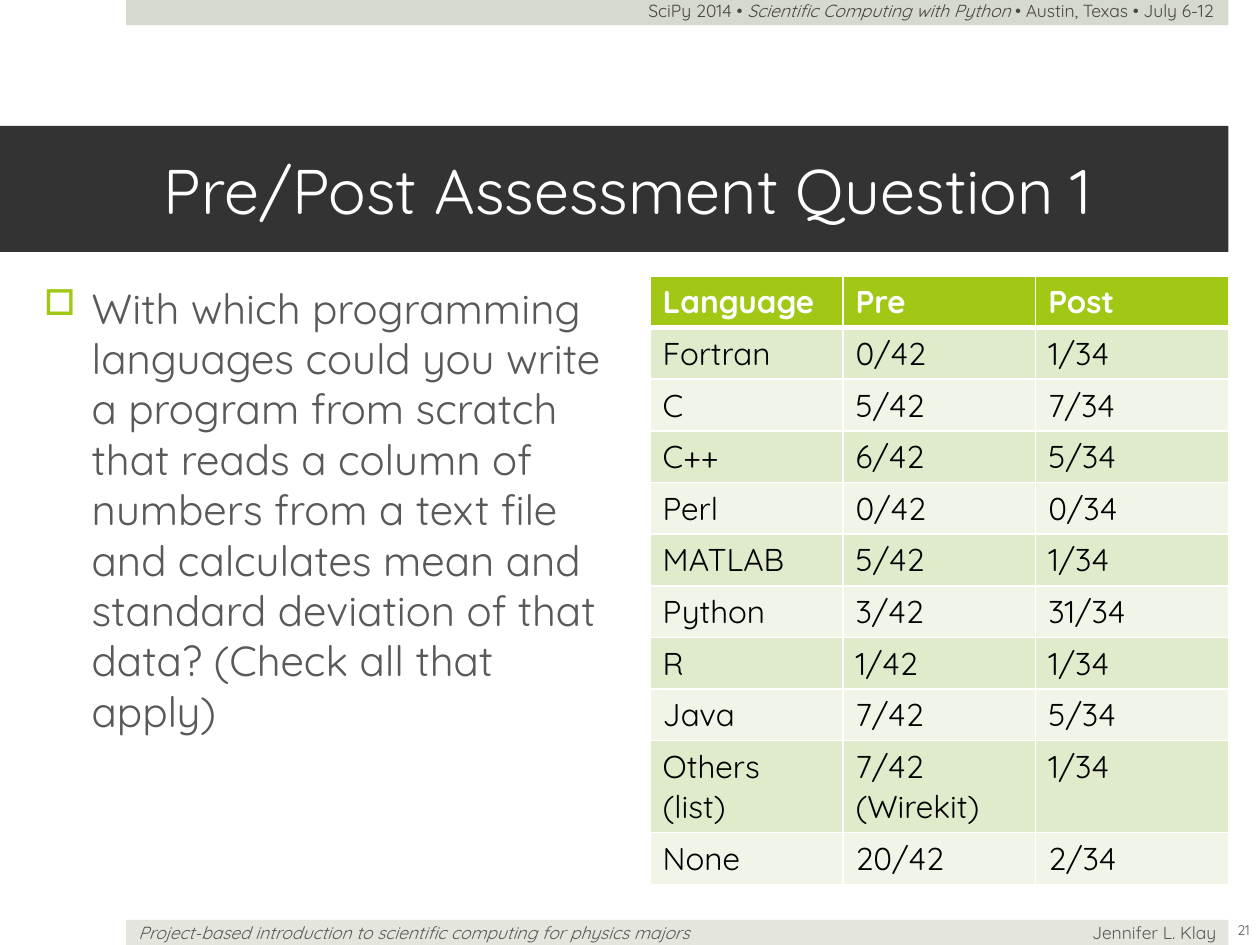
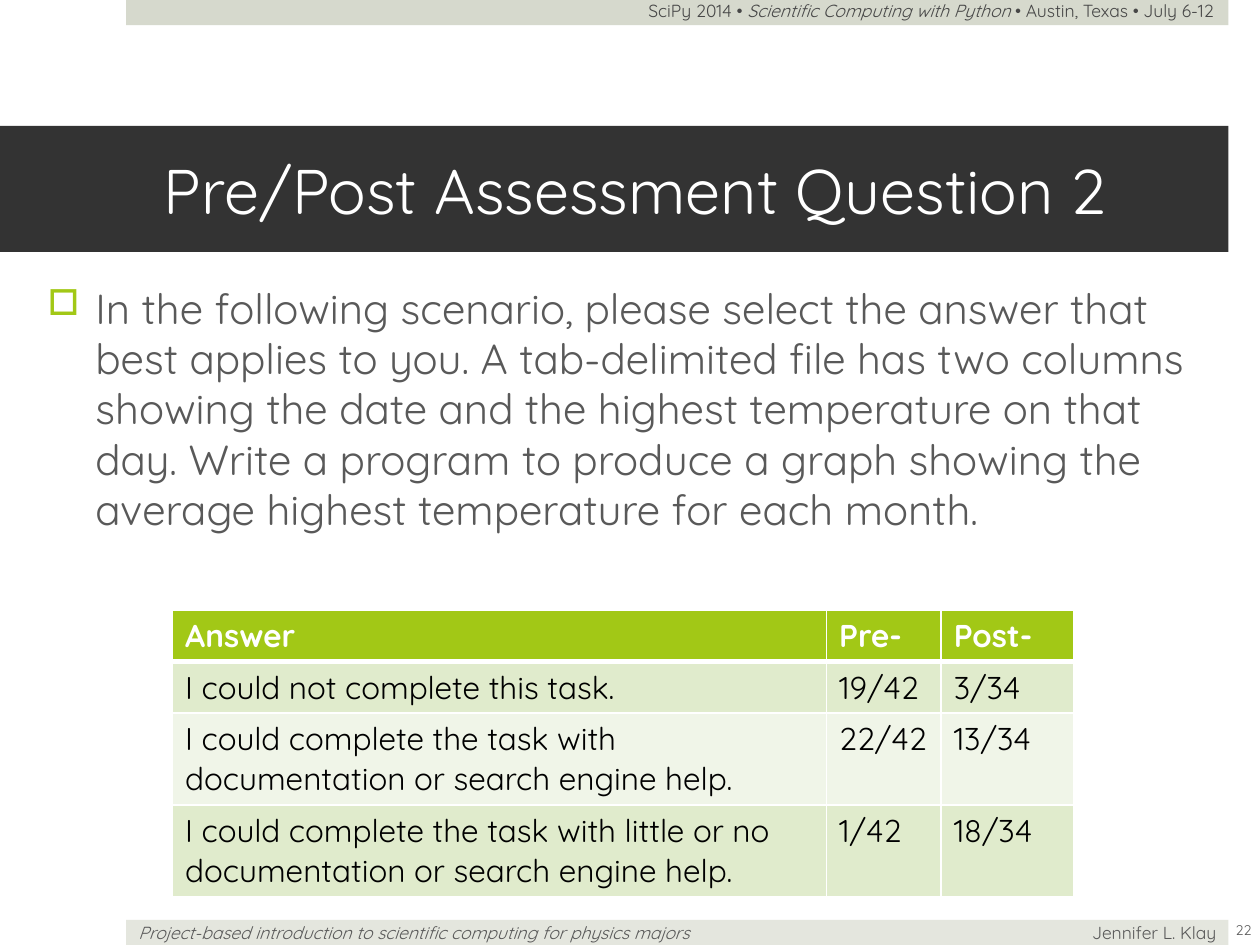
from dataclasses import dataclass

from lxml import etree
from pptx import Presentation
from pptx.dml.color import RGBColor
from pptx.enum import shapes, text
from pptx.oxml import ns
from pptx.util import Inches, Pt


@dataclass(frozen=True)
class Theme:
    font: str = "Quicksand"
    white: str = "FFFFFF"
    black: str = "000000"
    gray: str = "595959"
    header_gray: str = "474747"
    title_band: str = "333333"
    top_band: str = "D6D9CD"
    bottom_band: str = "E4E6DE"
    green: str = "A2C816"
    row_fills: tuple = ("F0F5E8", "E0EBCC")
    title_size: int = 36
    body_size: int = 24
    table_size: int = 18
    footer_size: int = 10
    number_size: int = 8


theme = Theme()
align = text.PP_ALIGN
anchor = text.MSO_ANCHOR


def add_runs(paragraph, runs, size, color, bold=False):
    for words, italic in runs:
        for index, line in enumerate(words.split("\n")):
            if index:
                paragraph.add_line_break()
            run = paragraph.add_run()
            run.text = line
            run.font.name = theme.font
            run.font.size = Pt(size)
            run.font.bold = bold
            run.font.italic = italic
            run.font.color.rgb = RGBColor.from_string(color)


def add_text(slide, bounds, runs, size, color, alignment=align.LEFT, vertical=anchor.MIDDLE):
    box = slide.shapes.add_textbox(*map(Inches, bounds))
    frame = box.text_frame
    frame.word_wrap = True
    frame.vertical_anchor = vertical
    paragraph = frame.paragraphs[0]
    paragraph.alignment = alignment
    add_runs(paragraph, runs, size, color)
    return paragraph


bands = [
    ((1, 7.3, 8.75, 0.2), theme.bottom_band),
    ((1, 0, 8.75, 0.2), theme.top_band),
    ((0, 1, 9.75, 1), theme.title_band),
]
conference = [
    ("SciPy 2014 • ", False),
    ("Scientific Computing with Python ", True),
    ("• Austin, Texas • July 6-12", False),
]
talk = [("Project-based introduction to scientific computing for physics majors", True)]
speaker = [("Jennifer L. Klay", False)]

questions = [
    {
        "title": "Pre/Post Assessment Question 1",
        "number": "21",
        "prompt": "With which programming languages could you write a program from scratch "
                  "that reads a column of numbers from a text file and calculates mean and "
                  "standard deviation of that data? (Check all that apply)",
        "prompt_bounds": (0.25, 2.19, 4.74, 4.99),
        "table_corner": (5.16, 2.19),
        "columns": (1.53, 1.53, 1.53),
        "two_line_rows": (9,),
        "rows": [
            ("Language", "Pre", "Post"),
            ("Fortran", "0/42", "1/34"),
            ("C", "5/42", "7/34"),
            ("C++", "6/42", "5/34"),
            ("Perl", "0/42", "0/34"),
            ("MATLAB", "5/42", "1/34"),
            ("Python", "3/42", "31/34"),
            ("R", "1/42", "1/34"),
            ("Java", "7/42", "5/34"),
            ("Others \n(list)", "7/42 (Wirekit)", "1/34"),
            ("None", "20/42", "2/34"),
        ],
    },
    {
        "title": "Pre/Post Assessment Question 2",
        "number": "22",
        "prompt": "In the following scenario, please select the answer that best applies to "
                  "you. A tab-delimited file has two columns showing the date and the highest "
                  "temperature on that day. Write a program to produce a graph showing the "
                  "average highest temperature for each month.",
        "prompt_bounds": (0.28, 2.19, 9.46, 4.99),
        "table_corner": (1.37, 4.84),
        "columns": (5.19, 0.91, 1.05),
        "two_line_rows": (2, 3),
        "rows": [
            ("Answer", "Pre-", "Post-"),
            ("I could not complete this task.", "19/42", "3/34"),
            ("I could complete the task with documentation or search engine help.",
             "22/42", "13/34"),
            ("I could complete the task with little or no documentation or search engine help.",
             "1/42", "18/34"),
        ],
    },
]

presentation = Presentation()
presentation.slide_width = Inches(10)
presentation.slide_height = Inches(7.5)

for question in questions:
    slide = presentation.slides.add_slide(presentation.slide_layouts[6])

    for bounds, color in bands:
        band = slide.shapes.add_shape(shapes.MSO_SHAPE.RECTANGLE, *map(Inches, bounds))
        band.shadow.inherit = False
        band.fill.solid()
        band.fill.fore_color.rgb = RGBColor.from_string(color)
        band.line.fill.background()

    title_frame = band.text_frame
    title_frame.word_wrap = True
    title_frame.vertical_anchor = anchor.MIDDLE
    title_frame.margin_left = Inches(1.3)
    title_frame.margin_right = Inches(0.3)
    title_frame.paragraphs[0].alignment = align.LEFT
    add_runs(title_frame.paragraphs[0], [(question["title"], False)],
             theme.title_size, theme.white)

    add_text(slide, (1, 7.3, 5.41, 0.2), talk, theme.footer_size, theme.gray)
    add_text(slide, (8.22, 7.3, 1.53, 0.2), speaker, theme.footer_size, theme.gray, align.RIGHT)
    add_text(slide, (4.73, -0.05, 5, 0.27), conference, theme.footer_size,
             theme.header_gray, align.RIGHT, anchor.TOP)
    add_text(slide, (9.62, 7.18, 0.5, 0.4), [(question["number"], False)],
             theme.number_size, theme.gray, align.CENTER)

    prompt = add_text(slide, question["prompt_bounds"], [(question["prompt"], False)],
                      theme.body_size, theme.gray, vertical=anchor.TOP)
    properties = prompt._p.get_or_add_pPr()
    properties.set("marL", str(Inches(0.38)))
    properties.set("indent", str(Inches(-0.38)))
    bullet_color = etree.SubElement(properties, ns.qn("a:buClr"))
    etree.SubElement(bullet_color, ns.qn("a:srgbClr"), val=theme.green)
    etree.SubElement(properties, ns.qn("a:buSzPct"), val="85000")
    etree.SubElement(properties, ns.qn("a:buChar"), char="□")

    rows, columns = question["rows"], question["columns"]
    heights = [0.73 if index in question["two_line_rows"] else 0.41
               for index in range(len(rows))]
    table = slide.shapes.add_table(
        len(rows), len(columns), *map(Inches, question["table_corner"]),
        Inches(sum(columns)), Inches(sum(heights))).table
    for column, width in zip(table.columns, columns):
        column.width = Inches(width)
    for row_index, values in enumerate(rows):
        table.rows[row_index].height = Inches(heights[row_index])
        is_header = row_index == 0
        fill_color = theme.green if is_header else theme.row_fills[row_index % 2]
        text_color = theme.white if is_header else theme.black
        for column_index, value in enumerate(values):
            cell = table.cell(row_index, column_index)
            add_runs(cell.text_frame.paragraphs[0], [(value, False)],
                     theme.table_size, text_color, is_header)
            cell_properties = cell._tc.get_or_add_tcPr()
            for side in ("L", "R", "T", "B"):
                thick = (row_index, side) in ((0, "B"), (1, "T"))
                border = etree.SubElement(cell_properties, ns.qn(f"a:ln{side}"),
                                          w=str(Pt(3 if thick else 1)))
                border_fill = etree.SubElement(border, ns.qn("a:solidFill"))
                etree.SubElement(border_fill, ns.qn("a:srgbClr"), val=theme.white)
            cell.fill.solid()
            cell.fill.fore_color.rgb = RGBColor.from_string(fill_color)

presentation.save("out.pptx")
